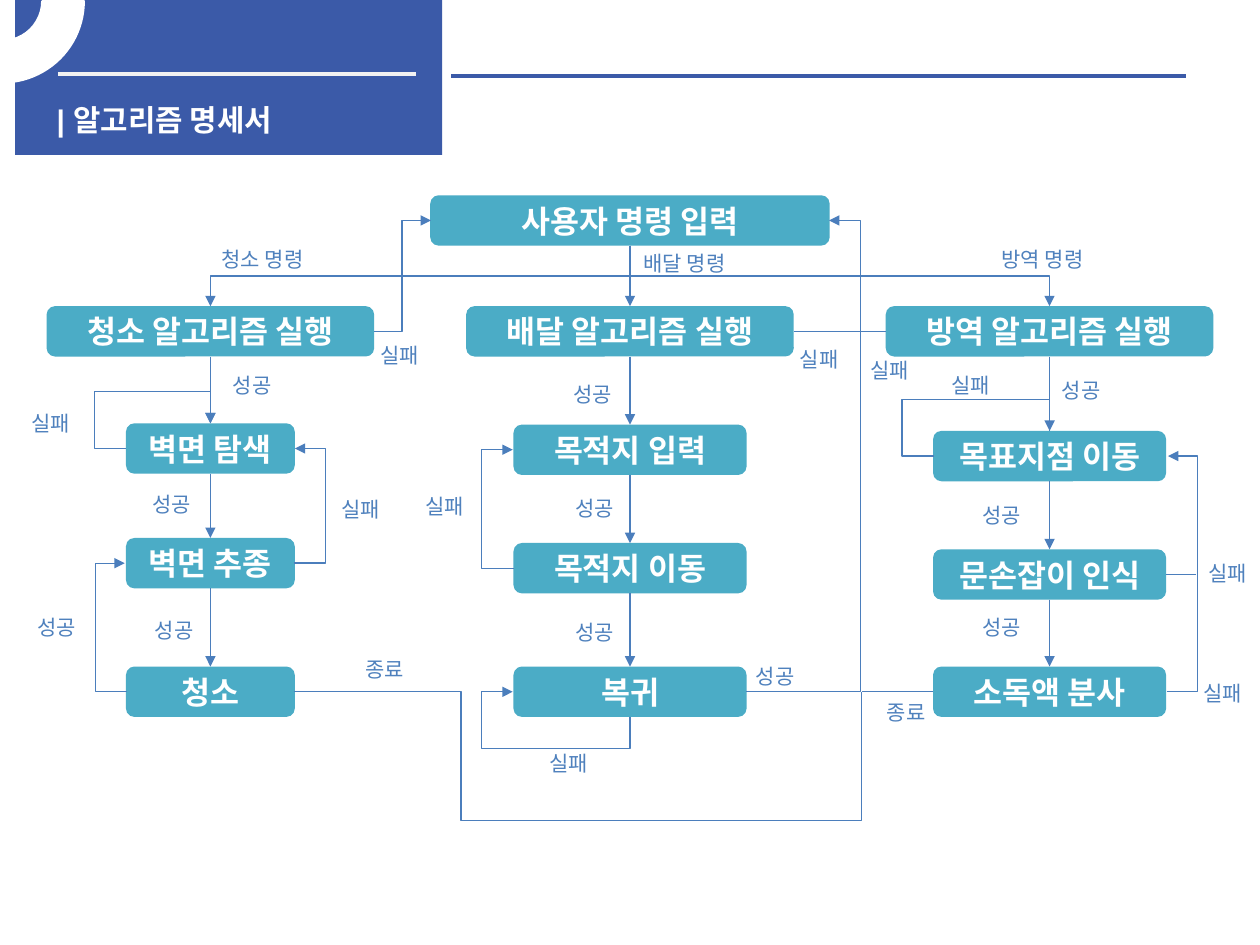
from dataclasses import dataclass

from lxml import etree
from pptx import Presentation
from pptx.dml.color import RGBColor
from pptx.enum.shapes import MSO_CONNECTOR, MSO_SHAPE
from pptx.enum.text import MSO_ANCHOR, MSO_AUTO_SIZE, PP_ALIGN
from pptx.oxml.ns import qn
from pptx.util import Inches, Pt

RECT, ROUND, ARC = MSO_SHAPE.RECTANGLE, MSO_SHAPE.ROUNDED_RECTANGLE, MSO_SHAPE.BLOCK_ARC
STRAIGHT, ELBOW = MSO_CONNECTOR.STRAIGHT, MSO_CONNECTOR.ELBOW
TOP, MIDDLE = MSO_ANCHOR.TOP, MSO_ANCHOR.MIDDLE
LEFT, CENTER = PP_ALIGN.LEFT, PP_ALIGN.CENTER
GROW, FIXED = MSO_AUTO_SIZE.SHAPE_TO_FIT_TEXT, MSO_AUTO_SIZE.NONE
SIDE_TOP, SIDE_LEFT, SIDE_BOTTOM, SIDE_RIGHT = range(4)


@dataclass(frozen=True)
class Theme:
    navy: str = "3B5AA8"
    teal: str = "4BACC6"
    flow: str = "4B7EBC"
    label: str = "4F81BD"
    pale: str = "F2F2F2"
    white: str = "FFFFFF"
    title_font: str = "Arial"
    font: str = "Noto Sans CJK KR"
    title_size: float = 17
    box_size: float = 18
    label_size: float = 12
    rule_width: float = 2.25
    flow_width: float = 0.75


T = Theme()
BOX_H = 0.4

# Each column: centre, width of its steps, then (text, top) from the command down
COLUMNS = [
    (1.67, 1.34, [("청소 알고리즘 실행", 2.43), ("벽면 탐색", 3.36),
                  ("벽면 추종", 4.27), ("청소", 5.29)]),
    (5, 1.85, [("배달 알고리즘 실행", 2.43), ("목적지 입력", 3.37),
               ("목적지 이동", 4.31), ("복귀", 5.29)]),
    (8.33, 1.85, [("방역 알고리즘 실행", 2.43), ("목표지점 이동", 3.42),
                  ("문손잡이 인식", 4.36), ("소독액 분사", 5.29)]),
]

# Corner points of each bent line, and whether it ends in an arrowhead
BENT_LINES = [
    ([(5, 1.95), (5, 2.19), (1.67, 2.19), (1.67, 2.43)], True),
    ([(5, 1.95), (5, 2.19), (8.33, 2.19), (8.33, 2.43)], True),
    ([(2.97, 2.63), (3.19, 2.63), (3.19, 1.75), (3.42, 1.75)], True),
    ([(5.92, 5.49), (6.83, 5.49), (6.83, 1.75), (6.58, 1.75)], True),
    ([(2.33, 5.49), (3.66, 5.49), (3.66, 6.51), (5, 6.51)], False),
    ([(6.84, 5.49), (6.84, 5.49), (6.84, 6.51), (5, 6.51)], False),
    ([(2.33, 4.47), (2.59, 4.47), (2.59, 3.56), (2.34, 3.56)], True),
    ([(1, 3.56), (0.75, 3.56), (0.75, 3.11), (1.67, 3.11), (1.67, 3.36)], True),
    ([(1.01, 5.49), (0.76, 5.49), (0.76, 4.47), (0.99, 4.47)], True),
    ([(4.08, 4.51), (3.82, 4.51), (3.82, 3.57), (4.07, 3.57)], True),
    ([(5, 5.69), (5, 5.94), (3.82, 5.94), (3.82, 5.49), (4.07, 5.49)], True),
    ([(9.26, 5.49), (9.51, 5.49), (9.51, 3.62), (9.27, 3.62)], True),
    ([(7.41, 3.62), (7.16, 3.62), (7.16, 3.17), (8.33, 3.17), (8.33, 3.42)], False),
]

# Label width, then the places of each wording
LABELS = {
    "성공": (0.55, [(1.11, 3.85), (1.13, 4.85), (4.47, 3.88), (4.45, 2.98), (4.47, 4.87),
                  (7.7, 3.94), (7.7, 4.83), (8.33, 2.95), (1.75, 2.91), (5.9, 5.22),
                  (0.2, 4.83)]),
    "실패": (0.55, [(0.15, 3.21), (2.61, 3.89), (9.49, 4.4), (9.45, 5.35), (2.92, 2.67),
                  (6.25, 2.7), (6.81, 2.79), (4.26, 5.91), (3.28, 3.87), (7.45, 2.91)]),
    "종료": (0.55, [(2.8, 5.16), (6.94, 5.5)]),
    "청소 명령": (1.13, [(1.66, 1.91)]),
    "배달 명령": (1.13, [(5.01, 1.94)]),
    "방역 명령": (1.13, [(7.85, 1.91)]),
}


def rgb(value):
    return RGBColor.from_string(value)


def write(sp, text, size, color, bold=False, font=T.font, align=LEFT, anchor=TOP, fit=FIXED):
    tf = sp.text_frame
    for name, value in {"word_wrap": True, "auto_size": fit, "vertical_anchor": anchor}.items():
        setattr(tf, name, value)
    p = tf.paragraphs[0]
    p.alignment = align
    r = p.add_run()
    r.text = text
    for name, value in {"size": Pt(size), "bold": bold, "name": font}.items():
        setattr(r.font, name, value)
    r.font.color.rgb = rgb(color)
    etree.SubElement(r.font._element, qn("a:ea")).set("typeface", T.font)


def add_shape(slide, kind, x, y, w, h, fill):
    sp = slide.shapes.add_shape(kind, Inches(x), Inches(y), Inches(w), Inches(h))
    sp.shadow.inherit = False
    sp.fill.solid()
    sp.fill.fore_color.rgb = rgb(fill)
    sp.line.fill.background()
    return sp


def add_box(slide, text, center, y, w):
    sp = add_shape(slide, ROUND, center - w / 2, y, w, BOX_H, T.teal)
    write(sp, text, T.box_size, T.white, True, align=CENTER, anchor=MIDDLE)
    return sp


def add_label(slide, text, x, y, w):
    sp = slide.shapes.add_textbox(Inches(x), Inches(y), Inches(w), Inches(0.3))
    write(sp, text, T.label_size, T.label, fit=GROW)


def add_line(slide, start, end, color=T.flow, width=T.flow_width, arrow=False, kind=STRAIGHT):
    c = slide.shapes.add_connector(kind, *[Inches(v) for v in (*start, *end)])
    c.line.color.rgb = rgb(color)
    c.line.width = Pt(width)
    if arrow:
        etree.SubElement(c.line._get_or_add_ln(), qn("a:tailEnd")).set("type", "triangle")
    etree.SubElement(c._element.spPr, qn("a:effectLst"))
    return c


def add_link(slide, box, side, other, other_side, arrow=False):
    c = add_line(slide, (0, 0), (0, 0), arrow=arrow)
    c.begin_connect(box, side)
    c.end_connect(other, other_side)


def add_bent(slide, points, arrow):
    (x0, y0), (x1, y1) = points[0], points[-1]
    dx, dy = x1 - x0, y1 - y0
    c = add_line(slide, points[0], points[-1], arrow=arrow, kind=ELBOW)
    upright = points[1][0] == x0 and points[1][1] != y0
    # A line that sets off vertically is a horizontal one turned a quarter
    if upright:
        w, h = abs(dy), abs(dx)
        place = {"left": (x0 + x1 - w) / 2, "top": (y0 + y1 - h) / 2, "width": w, "height": h}
        for name, value in place.items():
            setattr(c, name, Inches(value))
        xfrm = c._element.spPr.find(qn("a:xfrm"))
        xfrm.attrib.clear()
        xfrm.set("rot", str((90 if dx < 0 else 270) * 60000))
        xfrm.set("flipH", str(int((dx < 0) == (dy < 0))))
    # Corners as shares of the distance between both ends
    across, down = (points[1][0] - x0) / dx, (points[2][1] - y0) / dy
    if upright:
        across, down = (points[1][1] - y0) / dy, (points[2][0] - x0) / dx
    shares = [across, down][:len(points) - 3]
    geom = c._element.spPr.find(qn("a:prstGeom"))
    geom.set("prst", f"bentConnector{len(points) - 1}")
    guides = geom.find(qn("a:avLst"))
    for i, share in enumerate(shares, 1):
        gd = etree.SubElement(guides, qn("a:gd"))
        gd.set("name", f"adj{i}")
        gd.set("fmla", f"val {round(share * 100000)}")


def add_header(slide):
    add_shape(slide, RECT, 0.12, 0, 3.39, 1.23, T.navy)
    add_line(slide, (0.46, 0.59), (3.3, 0.59), T.pale, T.rule_width)
    add_line(slide, (3.58, 0.6), (9.41, 0.6), T.navy, T.rule_width)
    title = slide.shapes.title
    place = {"left": 0.35, "top": 0.76, "width": 3.23, "height": 0.3}
    for name, value in place.items():
        setattr(title, name, Inches(value))
    write(title, "| 알고리즘 명세서", T.title_size, T.white, True, T.title_font)
    slide.shapes._spTree.append(title._element)  # bring in front of the panel
    arc = add_shape(slide, ARC, -0.63, -0.63, 1.29, 1.28, T.white)
    arc.line.color.rgb = rgb(T.white)
    arc.line.width = Pt(2)
    for i, value in enumerate((161.587, 0, 0.25)):
        arc.adjustments[i] = value
    arc._element.spPr.find(qn("a:xfrm")).set("flipV", "1")


def add_flow(slide):
    # Boxes
    start = add_box(slide, "사용자 명령 입력", 5, 1.55, 3.17)
    columns = [[add_box(slide, text, center, y, w if i else 2.6)
                for i, (text, y) in enumerate(steps)] for center, w, steps in COLUMNS]
    # Straight lines
    for boxes in columns:
        for upper, lower in zip(boxes, boxes[1:]):
            add_link(slide, upper, SIDE_BOTTOM, lower, SIDE_TOP, True)
    _, delivery, disinfection = columns
    add_link(slide, start, SIDE_BOTTOM, delivery[0], SIDE_TOP, True)
    add_link(slide, delivery[0], SIDE_RIGHT, disinfection[0], SIDE_LEFT)
    add_line(slide, (9.26, 4.56), (9.49, 4.56)).begin_connect(disinfection[2], SIDE_RIGHT)
    add_line(slide, (7.41, 5.49), (6.84, 5.49)).begin_connect(disinfection[3], SIDE_LEFT)
    # Bent lines
    for points, arrow in BENT_LINES:
        add_bent(slide, points, arrow)
    # Labels
    for text, (w, places) in LABELS.items():
        for x, y in places:
            add_label(slide, text, x, y, w)


def main():
    prs = Presentation()
    prs.slide_width, prs.slide_height = Inches(10), Inches(7.5)
    slide = prs.slides.add_slide(prs.slide_layouts[5])
    add_header(slide)
    add_flow(slide)
    prs.save("out.pptx")


if __name__ == "__main__":
    main()
